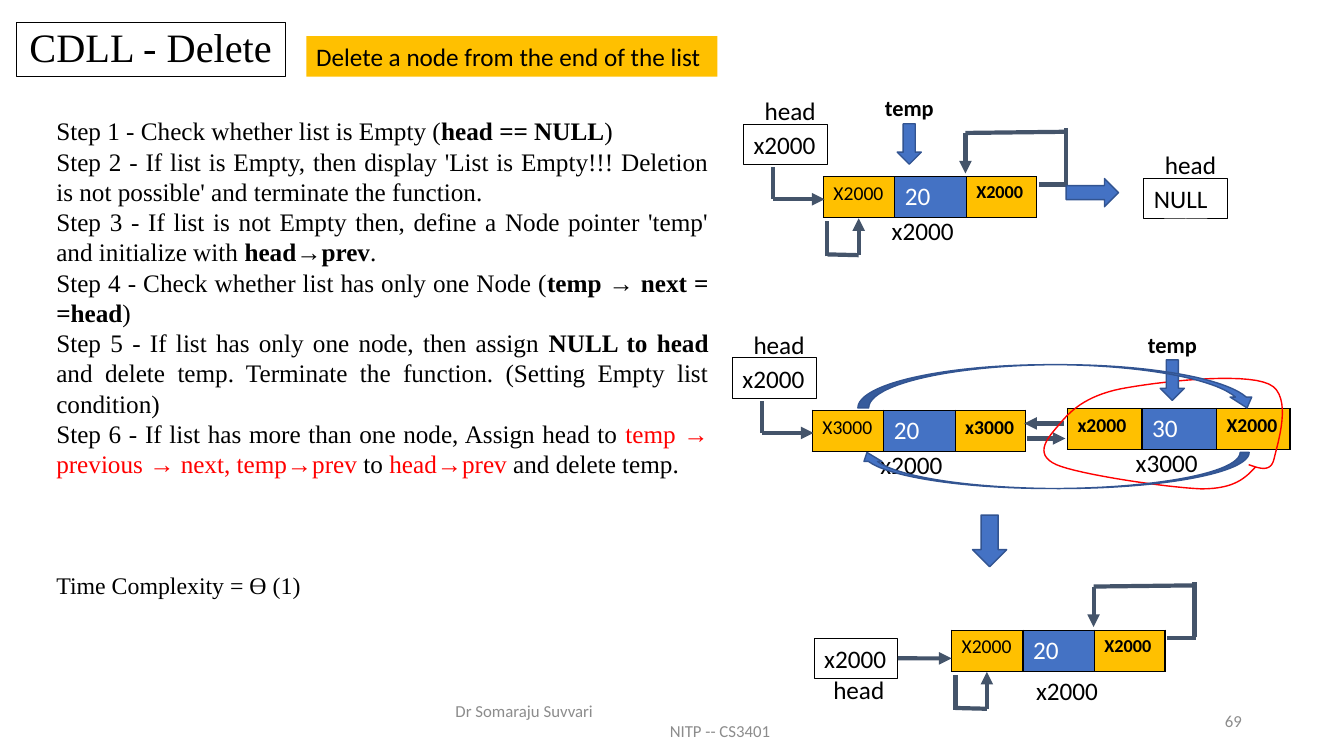
from dataclasses import dataclass

import pptx
import pptx.dml.color
import pptx.enum.shapes
import pptx.enum.text
import pptx.oxml
import pptx.oxml.ns
import pptx.util

Cm, Pt = pptx.util.Cm, pptx.util.Pt
SHAPES = pptx.enum.shapes.MSO_SHAPE
ALIGN = pptx.enum.text.PP_ALIGN
ANCHOR = pptx.enum.text.MSO_ANCHOR
BLACK, WHITE, RED, GREY = "000000", "FFFFFF", "FF0000", "8C8C8C"
GOLD, BLUE, BLUE_EDGE, SLATE = "FFC000", "4472C4", "325491", "44546A"
SERIF = "Times New Roman"

Point = tuple[float, float]
Area = tuple[float, float, float, float]


@dataclass
class Span:
    text: str
    size: float = 18
    font: str = "Calibri"
    color: str = BLACK
    bold: bool = False


@dataclass
class Node:
    corner: Point
    widths: tuple[float, float, float]
    cells: list[Span]
    address: str
    address_offset: Point = (1.47, 0.86)


@dataclass
class Link:
    start: Point
    end: Point
    arrow: bool = False


@dataclass
class BlockArrow:
    kind: pptx.enum.shapes.MSO_SHAPE
    area: Area
    rotation: float = 0


def step(*texts: str, color: str = BLACK, bold: bool = False) -> list[Span]:
    """Alternate plain spans with spans in the given emphasis."""
    return [Span(text, 18, SERIF, color if index % 2 else BLACK, bold and index % 2 == 1)
            for index, text in enumerate(texts)]


STEPS = [
    step("Step 1 - Check whether list is Empty (", "head == NULL", ")", bold=True),
    step("Step 2 - If list is Empty, then display 'List is Empty!!! Deletion "
         "is not possible' and terminate the function."),
    step("Step 3 - If list is not Empty then, define a Node pointer 'temp' and "
         "initialize with ", "head→prev", ".", bold=True),
    step("Step 4 - Check whether list has only one Node (", "temp → next = =head", ")", bold=True),
    step("Step 5 - If list has only one node, then assign ", "NULL to head ",
         "and delete temp. Terminate the function. (Setting Empty list condition)", bold=True),
    step("Step 6 - If list has more than one node, Assign head to ",
         "temp → previous → next, temp→prev", " to ", "head→prev ", "and delete temp.", color=RED),
]

NARROW, WIDE = (1.8, 1.8, 1.78), (1.88, 1.88, 1.85)
TWENTY, THIRTY = Span("20", color=WHITE), Span("30", color=WHITE)
ONLY_CELLS = [Span("X2000", 14), TWENTY, Span("X2000", 13, bold=True)]
ONLY = Node((20.75, 4.45), NARROW, ONLY_CELLS, "x2000")
FIRST = Node((20.47, 10.34), NARROW,
             [Span("X3000", 14), TWENTY, Span("x3000", 14, bold=True)], "x2000")
LAST = Node((26.9, 10.29), WIDE,
            [Span("x2000", 14, bold=True), THIRTY, Span("X2000", 14, bold=True)], "x3000")
REMAINING = Node((23.98, 15.88), NARROW, ONLY_CELLS, "x2000", (1.88, 1.02))

# Offsets from the top left corner of a node
HEAD_ELBOW = [Link((-1.27, 0.57), (0.03, 0.57), True), Link((-1.27, 0.57), (-1.27, -0.23))]
SELF_LOOPS = [
    Link((5.43, 0.2), (6.17, 0.2)), Link((6.12, 0.18), (6.12, -1.22)),
    Link((3.58, -1.1), (6.15, -1.13)), Link((3.58, -1.1), (3.58, -0.08), True),
    Link((0.1, 1.96), (0.89, 1.98)), Link((0.89, 1.98), (0.89, 1.05), True),
    Link((0.1, 2.01), (0.1, 1.12)),
]
NEIGHBOUR_LINKS = [Link((26.82, 10.67), (25.81, 10.67), True),
                   Link((25.88, 11.05), (26.85, 11.05), True)]
TEMP_ARROWS = [(22.61, 3.12), (29.24, 9.07)]
BLOCK_ARROWS = [
    BlockArrow(SHAPES.RIGHT_ARROW, (26.87, 4.5, 1.32, 0.71)),
    BlockArrow(SHAPES.DOWN_ARROW, (24.51, 12.98, 0.86, 1.3)),
    BlockArrow(SHAPES.CURVED_DOWN_ARROW, (21.62, 9.19, 10.08, 1.09)),
    BlockArrow(SHAPES.CURVED_DOWN_ARROW, (21.62, 11.4, 9.86, 0.91), 180),
]
# Start point, then two control points and an end point for each curve
LASSO = [
    (31.47, 11.71),
    (31.75, 11.81), (32.03, 11.91), (32.11, 11.56), (32.18, 11.23), (32.61, 9.96), (31.98, 9.68),
    (31.32, 9.37), (29.11, 9.63), (28.24, 9.8), (27.36, 9.98), (26.97, 10.36), (26.7, 10.69),
    (26.44, 11), (26.01, 11.43), (26.62, 11.71), (27.2, 11.96), (29.44, 12.29), (30.28, 12.32),
    (31.12, 12.32), (31.39, 12.04), (31.65, 11.76),
]

deck = pptx.Presentation()
deck.slide_width, deck.slide_height = Cm(33.87), Cm(19.05)
page = deck.slides.add_slide(deck.slide_layouts[6])


def paint(target, color: str) -> None:
    """Give a fill or a line one solid colour."""
    fill = getattr(target, "fill", target)
    fill.solid()
    fill.fore_color.rgb = pptx.dml.color.RGBColor.from_string(color)


def shift(origin: Point, offset: Point) -> Point:
    return origin[0] + offset[0], origin[1] + offset[1]


def write(frame, paragraphs: list[list[Span]], **formats) -> None:
    frame.word_wrap = True
    for index, spans in enumerate(paragraphs):
        para = frame.add_paragraph() if index else frame.paragraphs[0]
        for name, value in formats.items():
            setattr(para, name, value)
        for span in spans:
            run = para.add_run()
            run.text = span.text
            for name, value in {"size": Pt(span.size), "name": span.font, "bold": span.bold}.items():
                setattr(run.font, name, value)
            paint(run.font, span.color)


def add_text(area: Area, *paragraphs: list[Span], anchor=ANCHOR.TOP, **formats):
    box = page.shapes.add_textbox(*map(Cm, area))
    box.text_frame.vertical_anchor = anchor
    write(box.text_frame, list(paragraphs), **formats)
    return box


def outline(shape, color: str, width: float) -> None:
    paint(shape.line, color)
    shape.line.width = Pt(width)


def add_variable(corner: Point, value: str, label_offset: Point = (0.28, -0.85)):
    """Draw the head pointer's box with its label."""
    box = add_text((*corner, 2.11, 1.02), [Span(value)])
    outline(box, BLACK, 0.75)
    add_text((*shift(corner, label_offset), 2.11, 1.02), [Span("head")])
    return box


def add_node(node: Node) -> None:
    frame = page.shapes.add_table(1, 3, *map(Cm, (*node.corner, sum(node.widths), 1.04)))
    for index, (width, span) in enumerate(zip(node.widths, node.cells)):
        frame.table.columns[index].width = Cm(width)
        cell = frame.table.cell(0, index)
        write(cell.text_frame, [[span]])
        for side in ("lnL", "lnR", "lnT", "lnB"):
            cell._tc.get_or_add_tcPr().append(pptx.oxml.parse_xml(
                f'<a:{side} {pptx.oxml.ns.nsdecls("a")} w="12700"><a:solidFill>'
                f'<a:srgbClr val="{BLACK}"/></a:solidFill></a:{side}>'))
        paint(cell, BLUE if index == 1 else GOLD)
    add_text((*shift(node.corner, node.address_offset), 2.29, 1.02), [Span(node.address)])


def add_link(link: Link, origin: Point = (0, 0)):
    ends = (*shift(origin, link.start), *shift(origin, link.end))
    line = page.shapes.add_connector(pptx.enum.shapes.MSO_CONNECTOR.STRAIGHT, *map(Cm, ends))
    outline(line, SLATE, 3)
    if link.arrow:
        line.line._get_or_add_ln().append(pptx.oxml.parse_xml(
            f'<a:tailEnd {pptx.oxml.ns.nsdecls("a")} type="triangle"/>'))
    line._element.spPr.append(pptx.oxml.parse_xml(f'<a:effectLst {pptx.oxml.ns.nsdecls("a")}/>'))
    return line


def add_block_arrow(arrow: BlockArrow) -> None:
    shape = page.shapes.add_shape(arrow.kind, *map(Cm, arrow.area))
    shape.shadow.inherit = False
    shape.rotation = arrow.rotation
    paint(shape, BLUE)
    outline(shape, BLUE_EDGE, 1)


def add_curve(points: list[Point], color: str, pieces: int = 16) -> None:
    """Draw joined cubic curves as many short segments."""
    builder = page.shapes.build_freeform(*map(Cm, points[0]))
    track = []
    for first in range(0, len(points) - 1, 3):
        for piece in range(1, pieces + 1):
            t = piece / pieces
            weights = ((1 - t) ** 3, 3 * t * (1 - t) ** 2, 3 * t * t * (1 - t), t ** 3)
            track.append(tuple(Cm(sum(weight * point[axis] for weight, point
                                      in zip(weights, points[first:first + 4])))
                               for axis in (0, 1)))
    builder.add_line_segments(track, close=False)
    shape = builder.convert_to_shape()
    shape.shadow.inherit = False
    shape.fill.background()
    outline(shape, color, 1)


add_text((1.17, 2.79, 16.94, 9.5), *STEPS, alignment=ALIGN.JUSTIFY)
title = add_text((0.41, 0.56, 6.78, 1.37), [Span("CDLL - Delete", 28.8, SERIF)],
                 anchor=ANCHOR.MIDDLE, alignment=ALIGN.CENTER, line_spacing=0.9)
outline(title, BLACK, 0.75)
paint(add_text((7.72, 0.91, 10.36, 1.02), [Span("Delete a node from the end of the list")]), GOLD)
add_text((1.17, 14.25, 6.78, 0.99), [Span("Time Complexity = Ɵ (1)", 17, SERIF)])

for node in (ONLY, FIRST, LAST, REMAINING):
    add_node(node)
for node in (ONLY, FIRST):
    add_variable(shift(node.corner, (-2.01, -1.32)), "x2000")
    for link in HEAD_ELBOW:
        add_link(link, node.corner)
add_variable((28.83, 4.5), "NULL")
remaining_head = add_variable((20.52, 16.08), "x2000", (0.23, 0.79))
add_link(Link((22.63, 16.59), (23.98, 16.59), True)).begin_connect(remaining_head, 3)
for node in (ONLY, REMAINING):
    for link in SELF_LOOPS:
        add_link(link, node.corner)
for link in NEIGHBOUR_LINKS:
    add_link(link)

add_curve(LASSO, RED)
for corner in TEMP_ARROWS:
    add_block_arrow(BlockArrow(SHAPES.DOWN_ARROW, (*corner, 0.61, 1.02)))
    add_text((*shift(corner, (-0.56, -0.86)), 1.93, 0.94), [Span("temp", 16, bold=True)])
for arrow in BLOCK_ARROWS:
    add_block_arrow(arrow)

footer = add_text((11.23, 17.65, 11.43, 1.02), [Span("Dr Somaraju Suvvari", 12, color=GREY)],
                  [Span("NITP -- CS3401", 12, color=GREY)], anchor=ANCHOR.MIDDLE)
footer.text_frame.paragraphs[1]._p.get_or_add_pPr().set("marL", str(Cm(5.4)))
add_text((23.93, 17.65, 7.62, 1.02), [Span("69", 12, color=GREY)],
         anchor=ANCHOR.MIDDLE, alignment=ALIGN.RIGHT)

deck.save("out.pptx")
